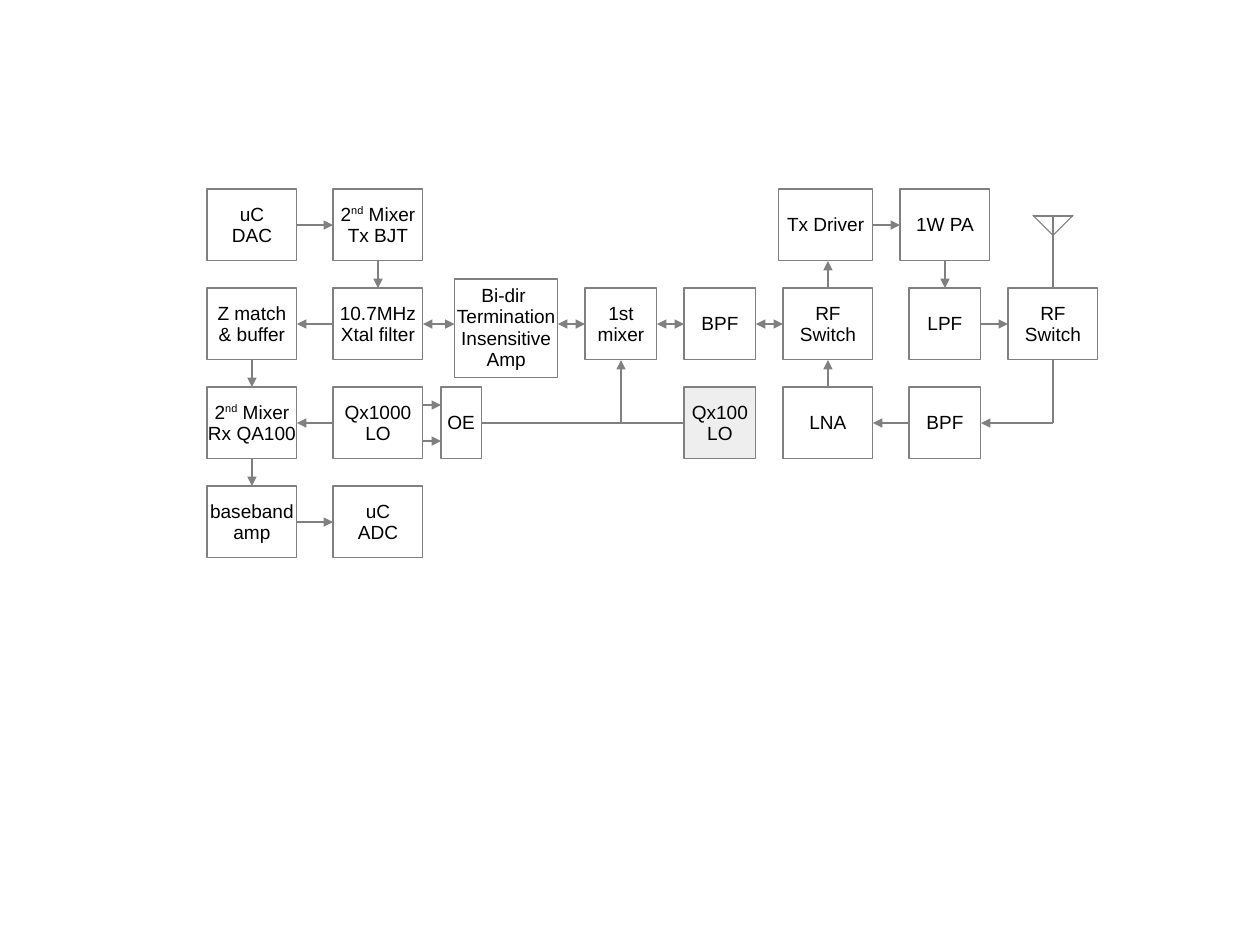
from dataclasses import dataclass

from lxml.etree import SubElement
from pptx import Presentation
from pptx.dml.color import RGBColor
from pptx.enum.shapes import MSO_CONNECTOR, MSO_SHAPE
from pptx.enum.text import MSO_ANCHOR, PP_ALIGN
from pptx.oxml.ns import qn
from pptx.shapes.autoshape import Shape
from pptx.shapes.connector import Connector
from pptx.slide import Slide
from pptx.util import Cm, Pt

WHITE = RGBColor(0xFF, 0xFF, 0xFF)
BLACK = RGBColor(0x00, 0x00, 0x00)
GRAY = RGBColor(0x80, 0x80, 0x80)
LIGHT_GRAY = RGBColor(0xEE, 0xEE, 0xEE)

TOP, LEFT, BOTTOM, RIGHT = range(4)
BLOCK_HEIGHT = 1.6
WIDE, NARROW = 2.0, 1.6
ROWS = [4.2 + 2.2 * row for row in range(4)]
LO_AXIS = ROWS[2] + BLOCK_HEIGHT / 2
MIXER_AXIS = 13.8
ANTENNA_AXIS = 23.4


@dataclass
class Block:
    key: str
    label: str
    left: float
    top: float
    width: float = WIDE
    height: float = BLOCK_HEIGHT
    fill: RGBColor = WHITE
    anchor: MSO_ANCHOR = MSO_ANCHOR.MIDDLE


@dataclass
class Link:
    start: str
    start_side: int
    end: str
    end_side: int
    head: bool = False
    tail: bool = True


@dataclass
class Wire:
    x1: float
    y1: float
    x2: float
    y2: float
    tail: bool = False


BLOCKS = [
    Block("dac", "uC\nDAC", 4.6, ROWS[0]),
    Block("tx mixer", "2^nd^ Mixer\nTx BJT", 7.4, ROWS[0]),
    Block("driver", "Tx Driver", 17.3, ROWS[0], 2.1),
    Block("power amp", "1W PA", 20.0, ROWS[0]),
    Block("buffer", "Z match\n& buffer", 4.6, ROWS[1]),
    Block("filter", "10.7MHz\nXtal filter", 7.4, ROWS[1]),
    Block("if amp", "Bi-dir \nTermination\nInsensitive\nAmp", 10.1, 6.2, 2.3, 2.2,
          anchor=MSO_ANCHOR.TOP),
    Block("first mixer", "1st\nmixer", 13.0, ROWS[1], NARROW),
    Block("bpf", "BPF", 15.2, ROWS[1], NARROW),
    Block("inner switch", "RF\nSwitch", 17.4, ROWS[1]),
    Block("lpf", "LPF", 20.2, ROWS[1], NARROW),
    Block("antenna switch", "RF\nSwitch", 22.4, ROWS[1]),
    Block("rx mixer", "2^nd^ Mixer\nRx QA100", 4.6, ROWS[2]),
    Block("second lo", "Qx1000\nLO", 7.4, ROWS[2]),
    Block("output enable", "OE", 9.8, ROWS[2], 0.9),
    Block("first lo", "Qx100\nLO", 15.2, ROWS[2], NARROW, fill=LIGHT_GRAY),
    Block("lna", "LNA", 17.4, ROWS[2]),
    Block("rx bpf", "BPF", 20.2, ROWS[2], NARROW),
    Block("baseband", "baseband\namp", 4.6, ROWS[3]),
    Block("adc", "uC\nADC", 7.4, ROWS[3]),
]

LINKS = [
    Link("dac", RIGHT, "tx mixer", LEFT),
    Link("tx mixer", BOTTOM, "filter", TOP),
    Link("filter", LEFT, "buffer", RIGHT),
    Link("buffer", BOTTOM, "rx mixer", TOP),
    Link("second lo", LEFT, "rx mixer", RIGHT),
    Link("rx mixer", BOTTOM, "baseband", TOP),
    Link("baseband", RIGHT, "adc", LEFT),
    Link("filter", RIGHT, "if amp", LEFT, head=True),
    Link("first mixer", LEFT, "if amp", RIGHT, head=True),
    Link("first mixer", RIGHT, "bpf", LEFT, head=True),
    Link("bpf", RIGHT, "inner switch", LEFT, head=True),
    Link("inner switch", TOP, "driver", BOTTOM),
    Link("driver", RIGHT, "power amp", LEFT),
    Link("power amp", BOTTOM, "lpf", TOP),
    Link("lpf", RIGHT, "antenna switch", LEFT),
    Link("rx bpf", LEFT, "lna", RIGHT),
    Link("lna", TOP, "inner switch", BOTTOM),
    Link("output enable", RIGHT, "first lo", LEFT, tail=False),
]

WIRES = [
    Wire(9.4, LO_AXIS - 0.4, 9.8, LO_AXIS - 0.4, tail=True),
    Wire(9.4, LO_AXIS + 0.4, 9.8, LO_AXIS + 0.4, tail=True),
    Wire(MIXER_AXIS, LO_AXIS, MIXER_AXIS, ROWS[1] + BLOCK_HEIGHT, tail=True),
    Wire(ANTENNA_AXIS, ROWS[1] + BLOCK_HEIGHT, ANTENNA_AXIS, LO_AXIS),
    Wire(ANTENNA_AXIS, LO_AXIS, 21.8, LO_AXIS, tail=True),
    Wire(ANTENNA_AXIS, 4.8, ANTENNA_AXIS, ROWS[1]),
    Wire(ANTENNA_AXIS - 0.45, 4.8, ANTENNA_AXIS + 0.45, 4.8),
    Wire(ANTENNA_AXIS, 5.23, ANTENNA_AXIS - 0.45, 4.78),
    Wire(ANTENNA_AXIS, 5.23, ANTENNA_AXIS + 0.45, 4.78),
]


def draw_block(slide: Slide, block: Block) -> Shape:
    shape = slide.shapes.add_shape(
        MSO_SHAPE.RECTANGLE, Cm(block.left), Cm(block.top), Cm(block.width), Cm(block.height)
    )
    shape.shadow.inherit = False
    shape.fill.solid()
    shape.fill.fore_color.rgb = block.fill
    shape.line.color.rgb = GRAY
    shape.line.width = Pt(0.75)
    text_frame = shape.text_frame
    text_frame.word_wrap = False
    text_frame.vertical_anchor = block.anchor
    text_frame.margin_left = text_frame.margin_right = Cm(0.25)
    text_frame.margin_top, text_frame.margin_bottom = Cm(0.15), Cm(0.13)
    text_frame.text = block.label
    for paragraph in text_frame.paragraphs:
        paragraph.alignment = PP_ALIGN.CENTER
        paragraph.line_spacing = 0.93
        pieces = paragraph.text.split("^")
        paragraph.text = pieces[0]
        for piece in pieces[1:]:
            paragraph.add_run().text = piece
        for index, run in enumerate(paragraph.runs):
            run.font.name = "Arial"
            run.font.size = Pt(12)
            run.font.color.rgb = BLACK
            if index == 1:
                run.font._element.set("baseline", "33000")
    return shape


def style_connector(connector: Connector, head: bool, tail: bool) -> None:
    connector.line.color.rgb = GRAY
    connector.line.width = Pt(0.75)
    line = connector.line._get_or_add_ln()
    for tag, wanted in (("a:headEnd", head), ("a:tailEnd", tail)):
        if wanted:
            SubElement(line, qn(tag), type="triangle")
    SubElement(connector._element.spPr, qn("a:effectLst"))


def draw_link(slide: Slide, link: Link, shapes: dict[str, Shape]) -> None:
    connector = slide.shapes.add_connector(MSO_CONNECTOR.STRAIGHT, 0, 0, 0, 0)
    connector.begin_connect(shapes[link.start], link.start_side)
    connector.end_connect(shapes[link.end], link.end_side)
    if link.start_side in (LEFT, RIGHT):
        connector.end_y = connector.begin_y
    else:
        connector.end_x = connector.begin_x
    style_connector(connector, link.head, link.tail)


def draw_wire(slide: Slide, wire: Wire) -> None:
    connector = slide.shapes.add_connector(
        MSO_CONNECTOR.STRAIGHT, Cm(wire.x1), Cm(wire.y1), Cm(wire.x2), Cm(wire.y2)
    )
    style_connector(connector, False, wire.tail)


def main() -> None:
    presentation = Presentation()
    presentation.slide_width, presentation.slide_height = Cm(28), Cm(21)
    slide = presentation.slides.add_slide(presentation.slide_layouts[6])
    shapes = {block.key: draw_block(slide, block) for block in BLOCKS}
    for link in LINKS:
        draw_link(slide, link, shapes)
    for wire in WIRES:
        draw_wire(slide, wire)
    presentation.save("out.pptx")


if __name__ == "__main__":
    main()
